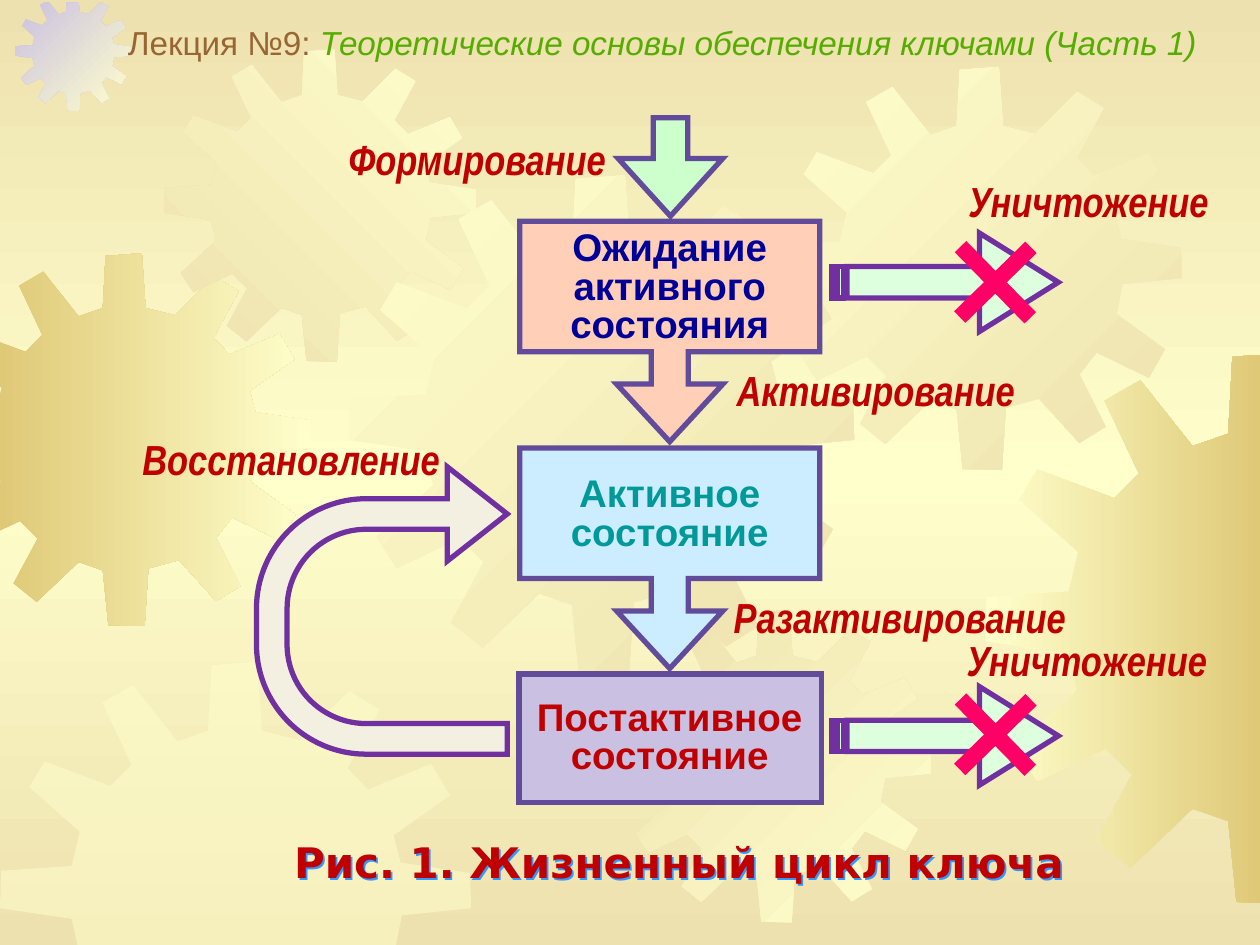
import copy
from dataclasses import dataclass
from typing import Optional

import pptx
import pptx.dml.color
import pptx.enum.shapes
import pptx.enum.text
import pptx.oxml
import pptx.oxml.ns
import pptx.util

Pt = pptx.util.Pt
RGBColor = pptx.dml.color.RGBColor
Shape = pptx.enum.shapes.MSO_SHAPE
Align = pptx.enum.text.PP_ALIGN
qn = pptx.oxml.ns.qn

SAND = RGBColor(0xED, 0xE1, 0xAF)
CREAM = RGBColor(0xFF, 0xFF, 0xCC)
GOLD = RGBColor(0xDF, 0xC9, 0x77)
LILAC = RGBColor(0xCA, 0xC0, 0xE2)
INDIGO = RGBColor(0x61, 0x4B, 0x9A)
PURPLE = RGBColor(0x70, 0x30, 0xA0)
PEACH = RGBColor(0xFF, 0xCF, 0xB8)
SKY = RGBColor(0xCC, 0xEC, 0xFF)
MINT = RGBColor(0xDD, 0xFF, 0xDD)
GREEN = RGBColor(0xCC, 0xFF, 0xCC)
IVORY = RGBColor(0xF4, 0xF0, 0xE1)
PINK = RGBColor(0xFF, 0x00, 0x66)
RED = RGBColor(0xC0, 0x00, 0x00)
NAVY = RGBColor(0x00, 0x00, 0x99)
TEAL = RGBColor(0x00, 0x99, 0x99)
BROWN = RGBColor(0x99, 0x66, 0x33)
LEAF = RGBColor(0x56, 0xAC, 0x00)

WIDTH, HEIGHT = 720, 540
# Gears are cut off at these edges: left, top, right, bottom
EDGES = (-0.7, 1.4, 720.7, 542.9)
GEAR_SIZE = 401
GEAR_OUTLINE = [
    (255, 67), (223, 59), (219, 0), (180, 3), (177, 59), (151, 68), (113, 20), (87, 35),
    (112, 88), (94, 106), (38, 85), (25, 107), (68, 145), (61, 174), (1, 178), (0, 210),
    (61, 219), (67, 246), (22, 287), (38, 312), (88, 288), (107, 307), (81, 355), (106, 375),
    (151, 332), (177, 341), (183, 400), (222, 401), (226, 339), (259, 330), (299, 374), (325, 358),
    (299, 306), (316, 284), (368, 309), (384, 281), (336, 246), (342, 216), (401, 210), (400, 180),
    (341, 171), (335, 148), (383, 114), (367, 87), (313, 109), (296, 91), (323, 41), (297, 25),
]
LABEL = dict(name="Arial Narrow", size=Pt(24), bold=True, italic=True)
STATE = dict(name="Arial", size=Pt(22), bold=True)
CAPTION = dict(name="DejaVu Sans", size=Pt(24), bold=True)
HEADING = dict(name="Arial", size=Pt(19), bold=False)


@dataclass
class Gear:
    left: float
    top: float
    size: float
    start: RGBColor
    end: Optional[RGBColor] = None  # without an end colour the gear is half transparent
    angle: int = 0  # clockwise


@dataclass
class Figure:
    kind: Shape
    frame: tuple
    adjustments: tuple
    fill: RGBColor
    line: RGBColor = INDIGO
    weight: float = 3
    rotation: float = 0


@dataclass
class Caption:
    lines: tuple
    frame: tuple
    style: dict
    spacing: float
    color: RGBColor = RED
    align: Align = Align.CENTER


def set_values(target, values: dict) -> None:
    for name, value in values.items():
        setattr(target, name, value)


def place(box, frame: tuple) -> None:
    set_values(box, dict(zip(("left", "top", "width", "height"), map(Pt, frame))))


def set_gradient(fill, start: RGBColor, end: RGBColor, angle: int) -> None:
    fill.gradient()
    fill.gradient_angle = (360 - angle) % 360
    for stop, color, position in zip(fill.gradient_stops, (start, end), (0, 1)):
        stop.color.rgb = color
        stop.position = position


def clip(points: list, axis: int, edge: float, sign: int) -> list:
    """Keep the part of a polygon where sign * (coordinate - edge) >= 0."""
    kept = []
    for first, second in zip(points[-1:] + points[:-1], points):
        a, b = (sign * (point[axis] - edge) for point in (first, second))
        if (a >= 0) != (b >= 0):
            kept.append(tuple(p + (q - p) * a / (a - b) for p, q in zip(first, second)))
        if b >= 0:
            kept.append(second)
    return kept


def draw_gear(page, gear: Gear) -> None:
    scale = gear.size / GEAR_SIZE
    points = [(gear.left + x * scale, gear.top + y * scale) for x, y in GEAR_OUTLINE]
    for index, edge in enumerate(EDGES):
        points = clip(points, index % 2, edge, 1 if index < 2 else -1)
    corners = [(Pt(x), Pt(y)) for x, y in points]
    builder = page.shapes.build_freeform(*corners[0], scale=1.0)
    builder.add_line_segments(corners[1:], close=True)
    shape = builder.convert_to_shape()
    shape.shadow.inherit = False
    shape.line.fill.background()
    if gear.end is not None:
        set_gradient(shape.fill, gear.start, gear.end, gear.angle)
    else:
        shape.fill.solid()
        shape.fill.fore_color.rgb = gear.start
        color = shape.element.spPr.find(".//" + qn("a:srgbClr"))
        color.append(pptx.oxml.parse_xml(f'<a:alpha {pptx.oxml.ns.nsdecls("a")} val="50000"/>'))


def draw_figure(page, figure: Figure) -> None:
    shape = page.shapes.add_shape(figure.kind, *map(Pt, figure.frame))
    shape.shadow.inherit = False
    shape.rotation = figure.rotation
    for index, value in enumerate(figure.adjustments):
        shape.adjustments[index] = value
    shape.fill.solid()
    shape.fill.fore_color.rgb = figure.fill
    shape.line.color.rgb = figure.line
    shape.line.width = Pt(figure.weight)
    outline = shape.element.spPr.find(qn("a:ln"))
    outline.append(pptx.oxml.parse_xml(f'<a:miter {pptx.oxml.ns.nsdecls("a")} lim="800000"/>'))


def prepare_frame(box):
    frame = box.text_frame
    set_values(frame, dict(word_wrap=True, vertical_anchor=pptx.enum.text.MSO_ANCHOR.MIDDLE,
                           margin_left=0, margin_top=0, margin_right=0, margin_bottom=0))
    return frame


def add_span(para, text: str, style: dict, color: RGBColor) -> None:
    span = para.add_run()
    span.text = text
    set_values(span.font, style)
    span.font.color.rgb = color


def draw_caption(page, caption: Caption):
    box = page.shapes.add_textbox(*map(Pt, caption.frame))
    frame = prepare_frame(box)
    for index, line in enumerate(caption.lines):
        para = frame.add_paragraph() if index else frame.paragraphs[0]
        set_values(para, dict(alignment=caption.align, line_spacing=Pt(caption.spacing)))
        add_span(para, line, caption.style, caption.color)
    return box


def label(text: str, left: float, top: float, width: float, align: Align = Align.CENTER) -> Caption:
    return Caption((text,), (left, top, width, 35.3), LABEL, 19, align=align)


def callout(top: float, fill: RGBColor) -> Figure:
    return Figure(Shape.RIGHT_ARROW_CALLOUT, (319.7, top, 126, 171.4),
                  (0.168, 0.241, 0.261, 0.592), fill, rotation=90)


def destroy_arrow(top: float) -> Figure:
    return Figure(Shape.STRIPED_RIGHT_ARROW, (475.2, top, 129.6, 56.2), (0.319, 0.801), MINT, PURPLE)


def cross(top: float) -> Figure:
    return Figure(Shape.CROSS, (540.7, top, 56.2, 56.2), (0.425,), PINK, PINK, 0.75, 45.6)


GEARS = [
    Gear(-35.3, 144.7, 213.1, GOLD, CREAM),
    Gear(8.6, -2.9, 66.2, LILAC, CREAM, 45),
    Gear(93.6, 28.1, 178.6, SAND, CREAM, 315),
    Gear(199.4, 100.1, 288.7, CREAM, SAND, 45),
    Gear(0, 378, 269.3, CREAM),
    Gear(353.5, 348.5, 178.6, SAND, CREAM, 45),
    Gear(445, 38.2, 230.4, CREAM, SAND, 45),
    Gear(563, 201.6, 314.6, CREAM, GOLD),
]
FIGURES = [
    destroy_arrow(392.4), destroy_arrow(133.2),
    Figure(Shape.RECTANGLE, (296.6, 385.2, 172.8, 73.4), (), LILAC),
    callout(103.7, PEACH), callout(233.3, SKY),
    Figure(Shape.RIGHT_ARROW, (355, 65.5, 56.2, 59.8), (0.329, 0.586), GREEN, rotation=90),
    Figure(Shape.U_TURN_ARROW, (136.1, 277.2, 164.2, 143.3),
           (0.122, 0.188, 0.239, 0.438, 1), IVORY, PURPLE, rotation=270),
    cross(133.2), cross(391.7),
]
CAPTIONS = [
    Caption(("Ожидание", "активного", "состояния"), (302.4, 133.2, 160.6, 63.4), STATE, 22, NAVY),
    Caption(("Активное", "состояние"), (302.4, 262.8, 160.6, 63.4), STATE, 22, TEAL),
    Caption(("Постактивное", "состояние"), (303.8, 392.4, 157.7, 59.8), STATE, 22),
    label("Формирование", 192.2, 77.8, 154.1, Align.RIGHT),
    label("Активирование", 419.8, 210.2, 161.3),
    label("Разактивирование", 416.2, 339.8, 195.8),
    label("Восстановление", 79.9, 249.1, 171.4, Align.RIGHT),
    label("Уничтожение", 545.8, 364.3, 150.5),
    label("Уничтожение", 548.6, 102.2, 146.9),
]
FIGURE_TITLE = Caption(("Рис. 1. Жизненный цикл ключа",), (76.3, 483.8, 623.5, 23), CAPTION, 23)


def main() -> None:
    deck = pptx.Presentation()
    set_values(deck, dict(slide_width=Pt(WIDTH), slide_height=Pt(HEIGHT)))
    page = deck.slides.add_slide(deck.slide_layouts[5])

    # Background: sand at both ends, cream in the middle
    set_gradient(page.background.fill, CREAM, SAND, 90)
    stops = page.element.find(".//" + qn("a:gsLst"))
    stops.insert(0, copy.deepcopy(stops[-1]))
    for stop, position in zip(stops, (0, 50000, 100000)):
        stop.set("pos", str(position))

    # Gears, then the key life cycle
    for gear in GEARS:
        draw_gear(page, gear)
    for figure in FIGURES:
        draw_figure(page, figure)
    for caption in CAPTIONS:
        draw_caption(page, caption)

    # Figure title with a blue shadow
    box = draw_caption(page, FIGURE_TITLE)
    box.element.spPr.append(pptx.oxml.parse_xml(
        f'<a:effectLst {pptx.oxml.ns.nsdecls("a")}><a:outerShdw dist="17961" dir="2700000">'
        '<a:srgbClr val="3399FF"/></a:outerShdw></a:effectLst>'))

    # Lecture heading, in front of the gears
    title = page.shapes.title
    place(title, (73.1, 15.1, 646.9, 20.9))
    para = prepare_frame(title).paragraphs[0]
    set_values(para, dict(alignment=Align.LEFT, line_spacing=Pt(20)))
    add_span(para, "Лекция №9: ", HEADING, BROWN)
    add_span(para, "Теоретические основы обеспечения ключами (Часть 1)", {**HEADING, "italic": True}, LEAF)
    title.element.getparent().append(title.element)

    deck.save("out.pptx")


if __name__ == "__main__":
    main()
